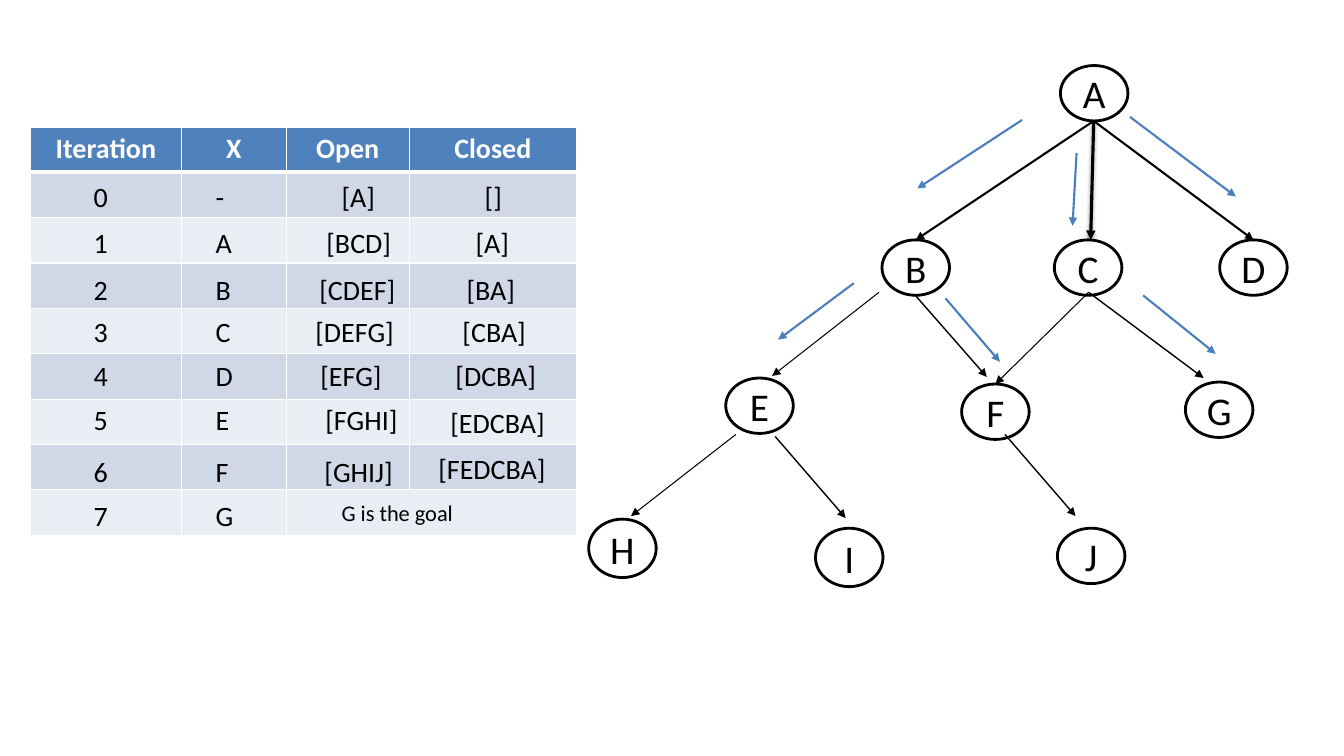
from dataclasses import dataclass

from lxml import etree
from pptx import Presentation
from pptx.dml.color import RGBColor
from pptx.enum.shapes import MSO_CONNECTOR, MSO_SHAPE
from pptx.enum.text import MSO_ANCHOR, MSO_AUTO_SIZE, PP_ALIGN
from pptx.oxml.ns import qn
from pptx.util import Inches, Pt

STRAIGHT = MSO_CONNECTOR.STRAIGHT
ELLIPSE = MSO_SHAPE.OVAL
MIDDLE = MSO_ANCHOR.MIDDLE
GROW = MSO_AUTO_SIZE.SHAPE_TO_FIT_TEXT
CENTER = PP_ALIGN.CENTER

FONT = "Calibri"
BLACK, WHITE, BLUE = "000000", "FFFFFF", "4B7EBC"
HEADER_FILL = "4F81BD"
BAND_FILLS = ("E9EDF4", "D0D8E8")

# The page is a grid of square cells, ten to the inch
CELL = Inches(0.1)
PAGE_COLUMNS, PAGE_ROWS = 133.33, 75

HEADINGS = ("Iteration", "X", "Open", "Closed")
COLUMN_WIDTHS = (15, 10.4, 12.2, 16.6)
ROW_HEIGHT = 4.5
TABLE_LEFT, TABLE_TOP = 3, 12.6
ITERATION_LEFT, STATE_LEFT, NARROW = 8.3, 20.4, 3.4
NODE_WIDTH = 6.7


@dataclass
class Label:
    text: str
    left: float
    top: float
    width: float
    size: int = 20
    height: float = 4.4


@dataclass
class Step:
    state: str
    top: float
    lists: tuple[Label, ...]


@dataclass
class Node:
    name: str
    left: float
    top: float
    height: float = 5.5


@dataclass
class Arrow:
    start: tuple[float, float]
    end: tuple[float, float]
    width: float = 1.5
    color: str = BLACK
    child: str = ""
    shadow: bool = False


STEPS = (
    Step("-", 17.3, (Label("[A]", 32.9, 17.3, 5.4), Label("[]", 47.1, 17.3, 4.2))),
    Step("A", 21.9, (Label("[BCD]", 31.4, 21.9, 8.4), Label("[A]", 46.2, 21.9, 8))),
    Step("B", 26.5, (Label("[CDEF]", 30.7, 26.5, 12), Label("[BA]", 45.3, 26.5, 8))),
    Step("C", 30.7, (Label("[DEFG]", 30.3, 30.7, 11.5), Label("[CBA]", 44.9, 30.7, 10.3))),
    Step("D", 35.1, (Label("[EFG]", 30.8, 35.1, 9.8), Label("[DCBA]", 44.2, 35.1, 10.3))),
    Step("E", 39.4, (Label("[FGHI]", 31.3, 39.4, 9.4), Label("[EDCBA]", 43.7, 39.7, 11.6))),
    Step("F", 44.6, (Label("[GHIJ]", 31.2, 44.6, 9.5), Label("[FEDCBA]", 42.5, 44.3, 13.3))),
    Step("G", 49, (Label("G is the goal", 32.9, 49, 16.4, 16, 3.7),)),
)

NODES = (
    Node("A", 105.2, 6.5),
    Node("B", 87.5, 23.8), Node("C", 104.6, 23.8), Node("D", 121, 23.8),
    Node("E", 72, 37.5), Node("F", 95.4, 38.1), Node("G", 117.6, 37.9),
    Node("H", 58.4, 51.5, 5.8), Node("J", 104.9, 52.4), Node("I", 80.9, 52.4, 5.8),
)

EDGES = (
    Arrow((108.5, 12), (108.2, 23.8), 2.25, shadow=True),
    Arrow((108.5, 12), (90.8, 23.8), child="B"),
    Arrow((108.5, 12), (124.3, 23.8), child="D"),
    Arrow((87.2, 29), (76.6, 37.3), 0.75),
    Arrow((90.8, 29.3), (97.9, 37.4), 1),
    Arrow((108, 29), (98.7, 38.1), 0.75, child="F"),
    Arrow((108, 29), (119.4, 37.5), 1),
    Arrow((73, 43.1), (62.6, 51.2), 0.75),
    Arrow((76.9, 43.3), (83.9, 51.4), 1),
    Arrow((99.7, 43.1), (106.7, 51.2), 1),
)

VISITS = (
    Arrow((101.4, 11.9), (91, 18.7), color=BLUE),
    Arrow((106.8, 15.2), (106.4, 22.4), color=BLUE),
    Arrow((112.1, 11.6), (122.6, 19.5), color=BLUE),
    Arrow((84.7, 28.1), (77.2, 33.7), color=BLUE),
    Arrow((93.8, 29.6), (99.2, 35.9), color=BLUE),
    Arrow((113.4, 29.3), (120.6, 35.1), color=BLUE),
)


def grid(*cells: float) -> list[int]:
    return [round(count * CELL) for count in cells]


def rgb(color: str) -> RGBColor:
    return RGBColor.from_string(color)


def write(frame, text: str, size: int, color: str = BLACK, bold: bool = False):
    para = frame.paragraphs[0]
    para.text = text
    font = para.font
    font.name, font.size, font.bold = FONT, Pt(size), bold
    font.color.rgb = rgb(color)
    return para


def draw_borders(cell, row: int) -> None:
    properties = cell._tc.get_or_add_tcPr()
    widths = {"L": 1, "R": 1, "T": 3 if row == 1 else 1, "B": 3 if row == 0 else 1}
    for side, width in widths.items():
        line = etree.SubElement(properties, qn(f"a:ln{side}"), w=str(Pt(width)))
        fill = etree.SubElement(line, qn("a:solidFill"))
        etree.SubElement(fill, qn("a:srgbClr"), val=WHITE)


def draw_table(page) -> None:
    row_count = len(STEPS) + 1
    box = grid(TABLE_LEFT, TABLE_TOP, sum(COLUMN_WIDTHS), ROW_HEIGHT * row_count)
    table = page.shapes.add_table(row_count, len(HEADINGS), *box).table
    for column, width in zip(table.columns, grid(*COLUMN_WIDTHS)):
        column.width = width
    for row in range(row_count):
        for column, heading in enumerate(HEADINGS):
            cell = table.cell(row, column)
            draw_borders(cell, row)
            cell.fill.solid()
            cell.fill.fore_color.rgb = rgb(BAND_FILLS[row % 2] if row else HEADER_FILL)
            if row == 0:
                write(cell.text_frame, heading, 20, WHITE, True).alignment = CENTER
    table.cell(row_count - 1, 2).merge(table.cell(row_count - 1, 3))


def draw_label(page, label: Label) -> None:
    box = page.shapes.add_textbox(*grid(label.left, label.top, label.width, label.height))
    box.text_frame.word_wrap = True
    box.text_frame.auto_size = GROW
    write(box.text_frame, label.text, label.size)


def draw_node(page, node: Node):
    oval = page.shapes.add_shape(ELLIPSE, *grid(node.left, node.top, NODE_WIDTH, node.height))
    oval.shadow.inherit = False
    oval.fill.solid()
    oval.fill.fore_color.rgb = rgb(WHITE)
    oval.line.color.rgb = rgb(BLACK)
    oval.line.width = Pt(2)
    oval.text_frame.vertical_anchor = MIDDLE
    write(oval.text_frame, node.name, 28).alignment = CENTER
    return oval


def draw_arrow(page, arrow: Arrow, ovals: dict) -> None:
    connector = page.shapes.add_connector(STRAIGHT, *grid(*arrow.start, *arrow.end))
    if arrow.child:
        connector.end_connect(ovals[arrow.child], 0)
    connector.line.color.rgb = rgb(arrow.color)
    connector.line.width = Pt(arrow.width)
    etree.SubElement(connector.line._get_or_add_ln(), qn("a:tailEnd"), type="triangle")
    effects = etree.SubElement(connector._element.spPr, qn("a:effectLst"))
    if arrow.shadow:
        shadow = etree.SubElement(effects, qn("a:outerShdw"), blurRad=str(Pt(3.1)),
                                  dist=str(Pt(1.6)), dir="5400000", rotWithShape="0")
        color = etree.SubElement(shadow, qn("a:srgbClr"), val=BLACK)
        etree.SubElement(color, qn("a:alpha"), val="38000")


def main() -> None:
    deck = Presentation()
    deck.slide_width, deck.slide_height = grid(PAGE_COLUMNS, PAGE_ROWS)
    page = deck.slides.add_slide(deck.slide_layouts[6])

    # Search trace table
    draw_table(page)

    # Search tree
    ovals = {node.name: draw_node(page, node) for node in NODES}
    for edge in EDGES:
        draw_arrow(page, edge, ovals)

    # Trace entries over the table rows
    for iteration, step in enumerate(STEPS):
        draw_label(page, Label(str(iteration), ITERATION_LEFT, step.top, NARROW))
        draw_label(page, Label(step.state, STATE_LEFT, step.top, NARROW))
        for label in step.lists:
            draw_label(page, label)

    # Visiting order
    for visit in VISITS:
        draw_arrow(page, visit, ovals)

    deck.save("out.pptx")


if __name__ == "__main__":
    main()
